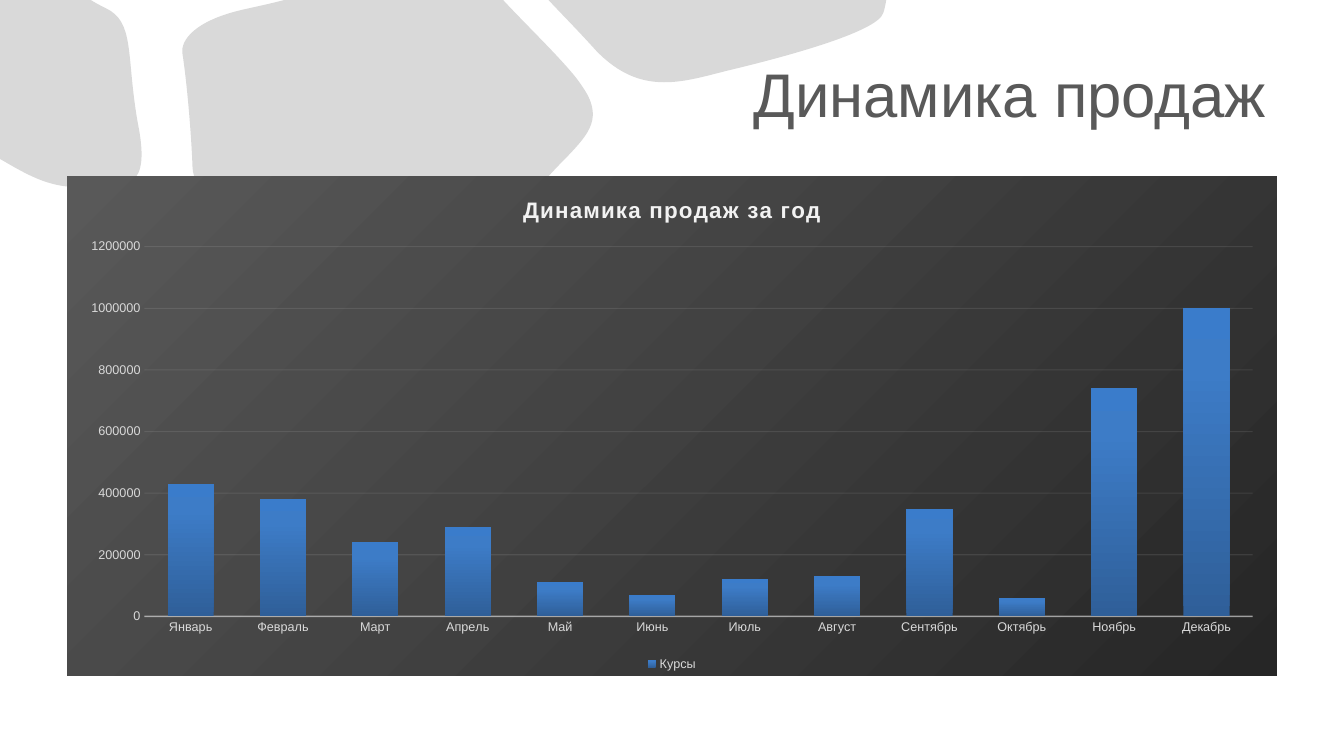
from lxml.etree import SubElement
from pptx import Presentation
from pptx.chart.data import CategoryChartData
from pptx.dml.color import RGBColor
from pptx.enum.chart import XL_CHART_TYPE, XL_LEGEND_POSITION, XL_TICK_MARK
from pptx.enum.text import MSO_ANCHOR, PP_ALIGN
from pptx.oxml import parse_xml
from pptx.oxml.ns import nsdecls, qn
from pptx.util import Inches, Pt

SLIDE_WIDTH = 13.33
CONTENT_WIDTH = 12
MARGIN = (SLIDE_WIDTH - CONTENT_WIDTH) / 2
FONT = "Arial"
STONE_COLOR = "D9D9D9"
LABEL_COLOR = "D9D9D9"
LINE_COLOR = "F2F2F2"

STONES = [
    [(5.44, 0), (5.57, 0.14, 5.73, 0.3, 5.91, 0.5), (6.37, 0.98, 6.8, 0.8, 7.26, 0.69),
     (7.76, 0.57, 8.7, 0.32, 8.76, 0.13), (8.77, 0.1, 8.78, 0.06, 8.79, 0)],
    [(1.1, 0.11), (1.05, 0.08, 0.98, 0.05, 0.9, 0), (-0.03, 0), (-0.03, 1.56),
     (0.22, 1.7, 0.49, 1.89, 0.86, 1.85), (1.16, 1.82, 1.5, 1.97, 1.38, 1.29),
     (1.25, 0.62, 1.34, 0.27, 1.1, 0.11)],
    [(4.99, 0), (2.82, 0), (2.67, 0.04, 2.52, 0.07, 2.39, 0.1),
     (1.93, 0.21, 1.79, 0.4, 1.81, 0.53), (1.86, 0.86, 1.9, 1.37, 1.91, 1.66),
     (1.92, 1.91, 2.2, 2.01, 2.46, 2.11), (2.69, 2.2, 3.71, 2.54, 3.94, 2.62),
     (3.94, 2.62, 4.45, 2.85, 4.74, 2.54), (5.03, 2.22, 5.35, 1.83, 5.62, 1.56),
     (5.85, 1.32, 5.99, 1.16, 5.77, 0.85), (5.65, 0.66, 5.23, 0.26, 4.99, 0)],
]

SALES = {
    "Январь": 430000, "Февраль": 380000, "Март": 240000, "Апрель": 290000,
    "Май": 110000, "Июнь": 70000, "Июль": 120000, "Август": 130000,
    "Сентябрь": 350000, "Октябрь": 60000, "Ноябрь": 740000, "Декабрь": 1000000,
}


def color(value):
    return RGBColor.from_string(value)


def style_font(font, size, value, bold=False):
    font.name = FONT
    font.size = Pt(size)
    font.bold = bold
    font.color.rgb = color(value)


def style_line(line, width, opacity):
    line.width = Pt(width)
    line.fill.solid()
    line.fill.fore_color.rgb = color(LINE_COLOR)
    srgb = line.fill._xPr.find(".//" + qn("a:srgbClr"))
    SubElement(srgb, qn("a:alpha")).set("val", str(opacity * 1000))


def gradient(stops, angle):
    marks = "".join(
        f'<a:gs pos="{position * 1000}"><a:srgbClr val="{value}"/></a:gs>'
        for position, value in stops)
    return parse_xml(
        f'<a:gradFill {nsdecls("a")} rotWithShape="1"><a:gsLst>{marks}</a:gsLst>'
        f'<a:lin ang="{angle * 60000}" scaled="0"/></a:gradFill>')


def bend_outline(shape, segments):
    lines = iter(shape._element.findall(".//" + qn("a:lnTo")))
    for segment in segments[1:]:
        first = next(lines)
        if len(segment) == 2:
            continue
        curve = parse_xml(f'<a:cubicBezTo {nsdecls("a")}/>')
        first.addprevious(curve)
        for line in (first, next(lines), next(lines)):
            curve.append(line[0])
            line.getparent().remove(line)


def add_stones(slide, left, top):
    for segments in STONES:
        points = [(Inches(left + segment[i]), Inches(top + segment[i + 1]))
                  for segment in segments for i in range(0, len(segment), 2)]
        builder = slide.shapes.build_freeform(*points[0], scale=1.0)
        builder.add_line_segments(points[1:], close=True)
        shape = builder.convert_to_shape()
        bend_outline(shape, segments)
        shape.shadow.inherit = False
        shape.fill.solid()
        shape.fill.fore_color.rgb = color(STONE_COLOR)
        shape.line.fill.background()


def add_title(slide, left, top, width, height):
    box = slide.shapes.add_textbox(Inches(left), Inches(top), Inches(width), Inches(height))
    text_frame = box.text_frame
    text_frame.word_wrap = True
    text_frame.vertical_anchor = MSO_ANCHOR.MIDDLE
    text_frame.text = "Динамика продаж"
    paragraph = text_frame.paragraphs[0]
    paragraph.alignment = PP_ALIGN.RIGHT
    style_font(paragraph.runs[0].font, 44, "595959")


def style_axes(chart):
    for axis in (chart.category_axis, chart.value_axis):
        axis.major_tick_mark = XL_TICK_MARK.NONE
        axis.minor_tick_mark = XL_TICK_MARK.NONE
        style_font(axis.tick_labels.font, 9, LABEL_COLOR)
    style_line(chart.category_axis.format.line, 1, 54)
    chart.value_axis.format.line.fill.background()
    style_line(chart.value_axis.major_gridlines.format.line, 0.75, 10)


def style_heading(chart):
    chart.has_title = True
    text_frame = chart.chart_title.text_frame
    text_frame.text = "Динамика продаж за год"
    run = text_frame.paragraphs[0].runs[0]
    style_font(run.font, 16, LINE_COLOR, bold=True)
    run.font._element.set("spc", "100")
    chart.chart_title.include_in_layout = False


def style_background(chart):
    properties = parse_xml(f'<c:spPr {nsdecls("c", "a")}><a:ln><a:noFill/></a:ln></c:spPr>')
    properties.insert(0, gradient([(0, "595959"), (100, "262626")], 45))
    chart._chartSpace.find(qn("c:chart")).addnext(properties)


def place_plot(chart, x, y, w, h):
    plot_area = chart._chartSpace.find(".//" + qn("c:plotArea"))
    for layout in plot_area.findall(qn("c:layout")):
        plot_area.remove(layout)
    sizes = "".join(f'<c:{name} val="{value}"/>'
                    for name, value in zip("xywh", (x, y, w, h)))
    plot_area.insert(0, parse_xml(
        f'<c:layout {nsdecls("c")}><c:manualLayout><c:layoutTarget val="inner"/>'
        f'<c:xMode val="edge"/><c:yMode val="edge"/>{sizes}</c:manualLayout></c:layout>'))


def add_sales_chart(slide, left, top, width, height):
    data = CategoryChartData()
    data.categories = list(SALES)
    data.add_series("Курсы", list(SALES.values()))
    chart = slide.shapes.add_chart(
        XL_CHART_TYPE.COLUMN_CLUSTERED, Inches(left), Inches(top),
        Inches(width), Inches(height), data).chart
    style_font(chart.font, 10, "000000")
    style_heading(chart)
    style_axes(chart)
    style_background(chart)
    place_plot(chart, 0.064, 0.141, 0.916, 0.741)

    chart.has_legend = True
    chart.legend.position = XL_LEGEND_POSITION.BOTTOM
    chart.legend.include_in_layout = False
    style_font(chart.legend.font, 9, LABEL_COLOR)

    plot = chart.plots[0]
    plot.gap_width = 100
    plot.overlap = -23
    plot.vary_by_categories = False
    series = plot.series[0]
    series.format.line.fill.background()
    series._element.find(qn("c:spPr")).insert(
        0, gradient([(0, "2F5F99"), (80, "3D7CC7"), (100, "3A7CCB")], 270))


def main():
    presentation = Presentation()
    presentation.slide_width = Inches(SLIDE_WIDTH)
    presentation.slide_height = Inches(7.5)
    slide = presentation.slides.add_slide(presentation.slide_layouts[6])
    add_stones(slide, 0, 0)
    add_title(slide, MARGIN, 0.3, CONTENT_WIDTH, 1.25)
    add_sales_chart(slide, MARGIN, 1.75, CONTENT_WIDTH, 4.95)
    presentation.save("out.pptx")


if __name__ == "__main__":
    main()
